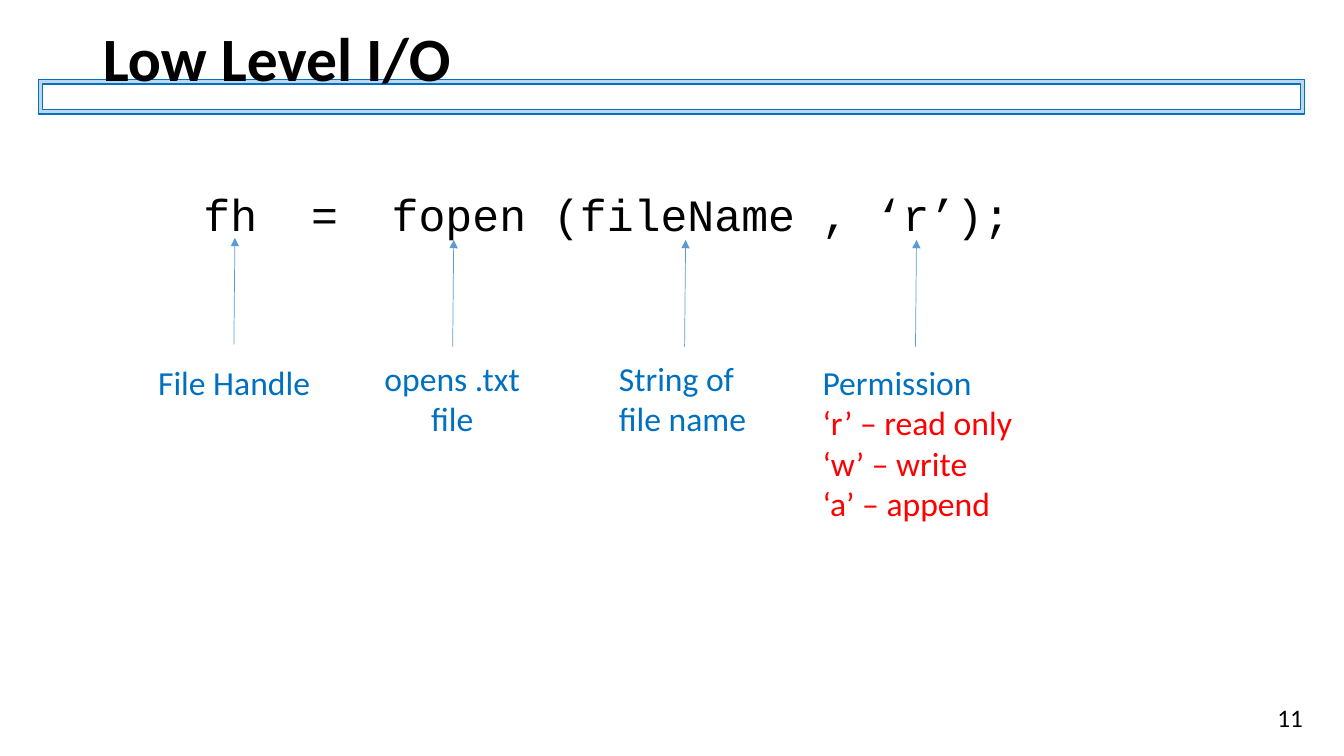
from lxml import etree
from pptx import Presentation
from pptx.dml.color import RGBColor
from pptx.enum.shapes import MSO_CONNECTOR, MSO_SHAPE
from pptx.enum.text import MSO_ANCHOR, PP_ALIGN
from pptx.oxml.ns import qn
from pptx.util import Inches, Pt

LEFT, CENTER = PP_ALIGN.LEFT, PP_ALIGN.CENTER
COLORS = {"text": "000000", "label": "0070C0", "mode": "FF0000",
          "arrow": "5B9BD5", "band": "BDD7EE"}

# Content: (text, color) lines
TITLE = "Low Level I/O"
CODE = "fh  =  fopen (fileName , ‘r’);"
PAGE = "11"
# Labels: box (left, top, width, height), alignment, lines
LABELS = [
    ((1.47, 3.54, 1.73, 0.5), LEFT, [("File Handle", "label")]),
    ((3.62, 3.5, 1.73, 0.91), CENTER, [("opens .txt file", "label")]),
    ((6.04, 3.5, 1.52, 0.91), LEFT, [("String of file name", "label")]),
    ((8.06, 3.54, 2.11, 1.72), LEFT, [
        ("Permission", "label"), ("‘r’ – read only", "mode"),
        ("‘w’ – write", "mode"), ("‘a’ – append", "mode")]),
]
# Arrows: start x, start y
ARROWS = [(2.32, 3.42), (4.49, 3.44), (6.79, 3.44), (9.08, 3.44)]
ARROW_RISE, ARROW_LEAN = 1.06, 0.01


def rgb(name):
    return RGBColor.from_string(COLORS[name])


def write(tf, lines, size, align=LEFT, font="Calibri", bold=False):
    tf.word_wrap = True
    for i, (text, color) in enumerate(lines):
        p = tf.add_paragraph() if i else tf.paragraphs[0]
        p.alignment = align
        r = p.add_run()
        r.text = text
        r.font.color.rgb = rgb(color)
        for key, value in {"name": font, "size": Pt(size), "bold": bold}.items():
            setattr(r.font, key, value)


def add_text(s, box, lines, size, **style):
    sp = s.shapes.add_textbox(*map(Inches, box))
    write(sp.text_frame, lines, size, **style)


def add_arrow(s, x, y):
    sp = s.shapes.add_connector(
        MSO_CONNECTOR.STRAIGHT, Inches(x), Inches(y),
        Inches(x + ARROW_LEAN), Inches(y - ARROW_RISE))
    sp.line.color.rgb = rgb("arrow")
    sp.line.width = Pt(0.5)
    etree.SubElement(sp.line._get_or_add_ln(), qn("a:tailEnd"), type="triangle")
    etree.SubElement(sp._element.spPr, qn("a:effectLst"))


def main():
    prs = Presentation()
    prs.slide_width, prs.slide_height = Inches(13.33), Inches(7.5)
    s = prs.slides.add_slide(prs.slide_layouts[5])

    # Title, with the framed band behind it
    title = s.shapes.title
    box = dict(zip(("left", "top", "width", "height"), (0.92, 0.11, 11.5, 1.01)))
    for key, value in box.items():
        setattr(title, key, Inches(value))
    title.text_frame.vertical_anchor = MSO_ANCHOR.MIDDLE
    write(title.text_frame, [(TITLE, "text")], 44, bold=True)
    title.text_frame.paragraphs[0].line_spacing = 0.9

    band = s.shapes.add_shape(
        MSO_SHAPE.FRAME, *map(Inches, (0.38, 0.79, 12.56, 0.34)))
    band.shadow.inherit = False
    band.fill.solid()
    band.fill.fore_color.rgb = rgb("band")
    band.line.color.rgb = rgb("label")
    band.line.width = Pt(1)
    title._element.addprevious(band._element)

    # Code line, arrows and labels
    add_text(s, (1.92, 1.8, 10.5, 0.6), [(CODE, "text")], 32, font="Courier New")
    for x, y in ARROWS:
        add_arrow(s, x, y)
    for box, align, lines in LABELS:
        add_text(s, box, lines, 24, align=align)

    # Page number
    add_text(s, (12.57, 6.92, 0.58, 0.4), [(PAGE, "text")], 18)
    prs.save("out.pptx")


if __name__ == "__main__":
    main()
